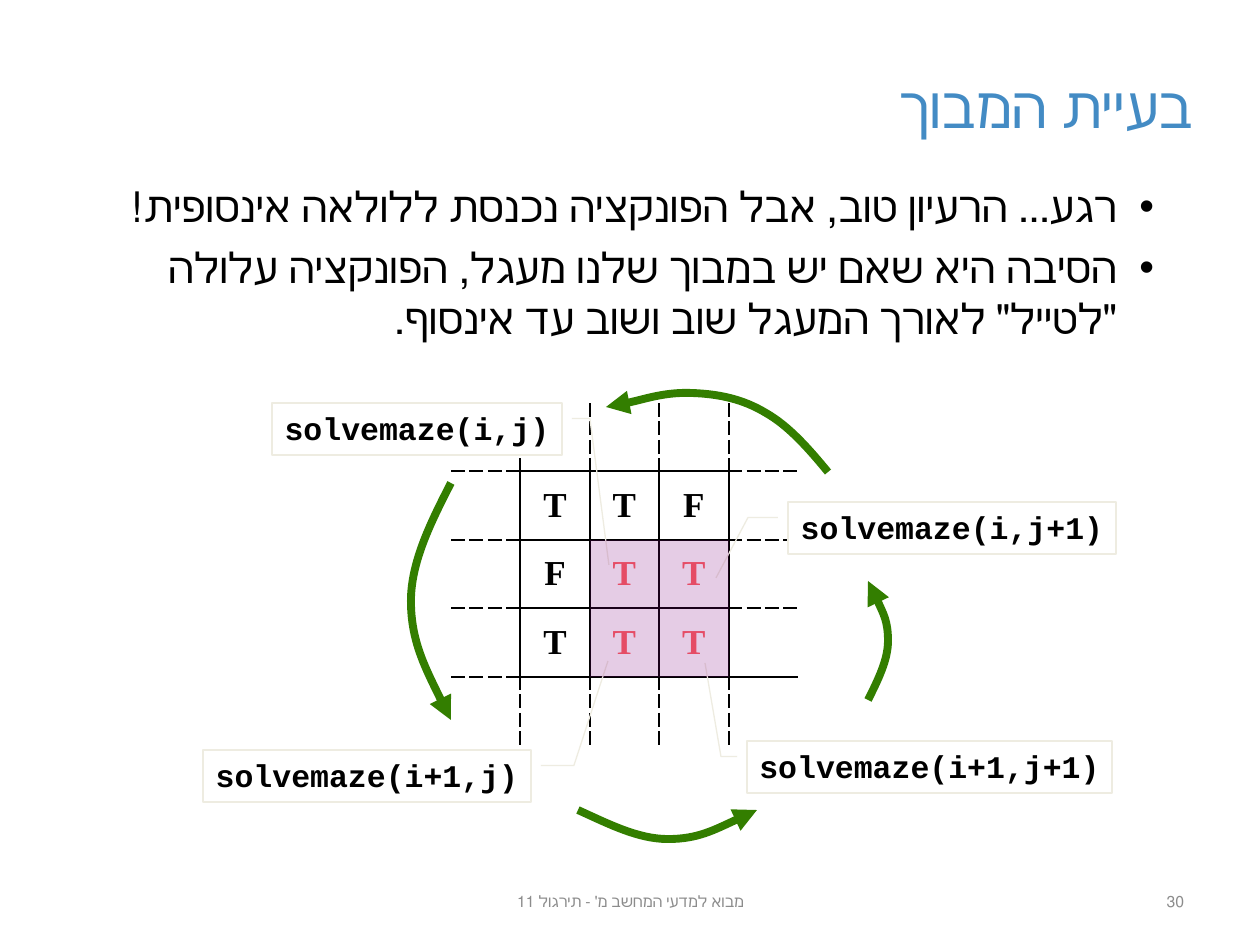
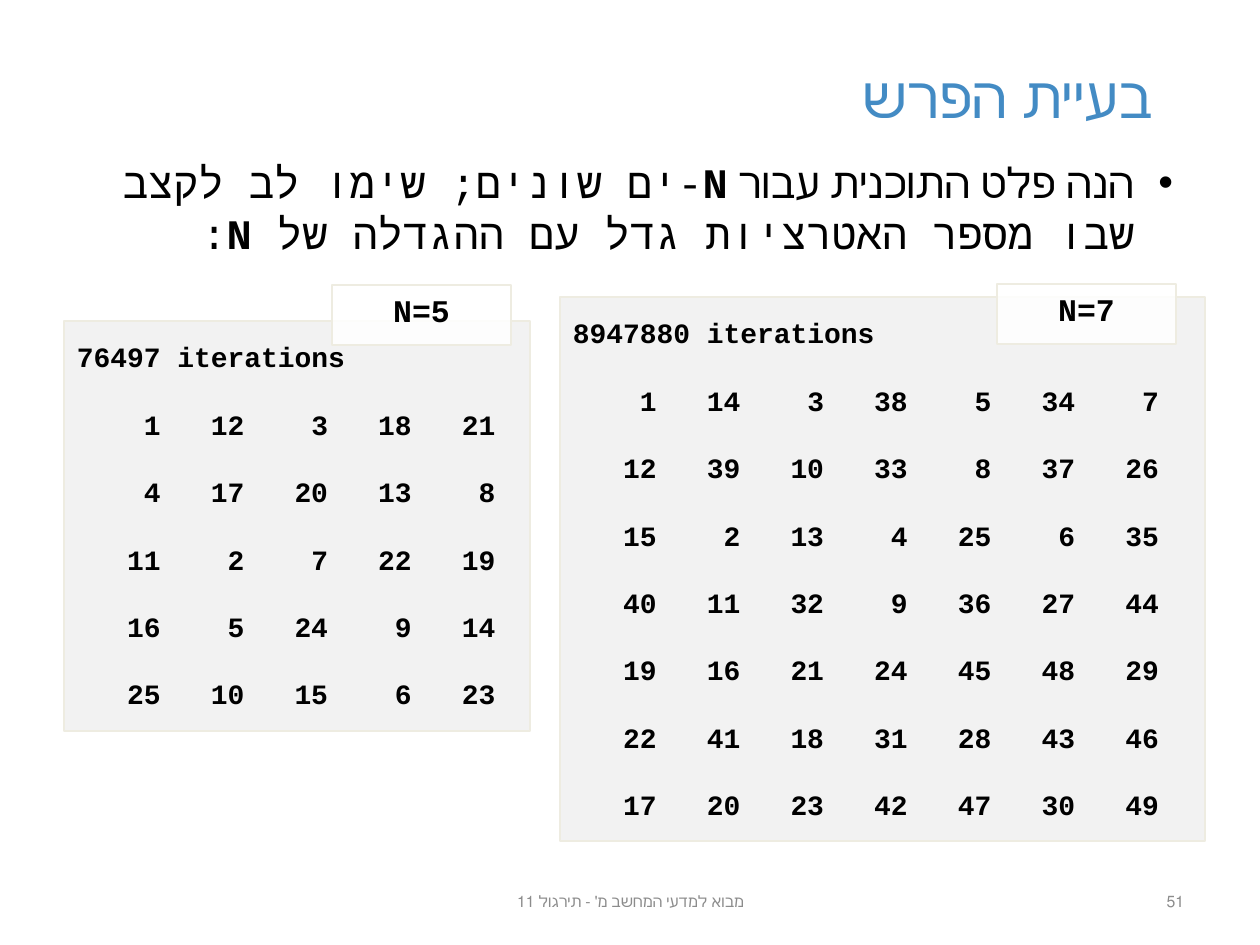
from lxml import etree
from pptx import Presentation
from pptx.dml.color import RGBColor
from pptx.enum import lang, shapes, text
from pptx.oxml.ns import qn
from pptx.util import Emu, Pt

# ---------- Shared look ----------
SCALE = 914400 / 126  # EMU per px
COLORS = {"title": "438BC4", "body": "000000", "footer": "8C8C8C", "white": "FFFFFF",
          "panel": "F2F2F2", "edge": "EEECE1", "arrow": "337E00",
          "loop": "FF5F5F", "shade": "800080"}
CODE = dict(font="Courier New", bold=True)
HEBREW = dict(font="Times New Roman", rtl=True, align="r")
ALIGN = {"l": text.PP_ALIGN.LEFT, "c": text.PP_ALIGN.CENTER, "r": text.PP_ALIGN.RIGHT}
FOOTER = "מבוא למדעי המחשב מ' - תירגול 11"

# ---------- Slide 1: the maze ----------
MAZE = dict(
    title="בעיית המבוך", title_box=(54, 26, 1152, 158), number="30",
    body=["רגע... הרעיון טוב, אבל הפונקציה נכנסת ללולאה אינסופית!",
          "הסיבה היא שאם יש במבוך שלנו מעגל, הפונקציה עלולה \"לטייל\" "
          "לאורך המעגל שוב ושוב עד אינסוף."],
    body_box=(88, 175, 1079, 179), indent=37)
CELLS = ["TTF", "FTT", "TTT"]
LOOP = [(2, 2), (2, 3), (3, 2), (3, 3)]  # row, column in the 5 x 5 grid
GRID = (451, 403, 347, 342)
SIZE = 5
# call, box, elbow x, tip
CALLS = [
    ("solvemaze(i,j)", (272, 403, 290, 52), 590, (609, 565)),
    ("solvemaze(i+1,j)", (203, 750, 328, 52), 574, (608, 661)),
    ("solvemaze(i+1,j+1)", (747, 741, 365, 52), 721, (705, 663)),
    ("solvemaze(i,j+1)", (788, 502, 328, 52), 748, (716, 578)),
]
# start point, then two control points and an end point for each curve
ARROWS = [
    [(451, 483), (431, 522), (411, 562), (411, 601), (411, 641), (431, 680), (451, 720)],
    [(578, 810), (609, 824), (638, 839), (668, 839), (698, 839), (727, 824), (757, 810)],
    [(868, 700), (878, 680), (888, 660), (888, 641), (888, 621), (878, 601), (868, 581)],
    [(828, 472), (809, 449), (789, 426), (766, 413), (743, 399), (719, 394), (692, 393),
     (665, 392), (624, 405), (606, 407)],
]

# ---------- Slide 2: the knight ----------
KNIGHT = dict(
    title="בעיית הפרש", title_box=(94, 16, 1072, 158), number="51",
    body=[[("הנה פלט התוכנית עבור ", {}), ("N", CODE),
           ("-ים שונים; שימו לב לקצב שבו מספר האטרציות גדל עם ההגדלה של ", {}),
           ("N", CODE), (":", {})]],
    body_box=(68, 151, 1118, 113), indent=39)
# label, label box, heading, panel box, board
BOARDS = [
    ("N=5", (332, 285, 179, 60), "76497 iterations", (64, 321, 466, 410), [
        (1, 12, 3, 18, 21), (4, 17, 20, 13, 8), (11, 2, 7, 22, 19),
        (16, 5, 24, 9, 14), (25, 10, 15, 6, 23)]),
    ("N=7", (997, 284, 179, 60), "8947880 iterations", (560, 297, 645, 544), [
        (1, 14, 3, 38, 5, 34, 7), (12, 39, 10, 33, 8, 37, 26),
        (15, 2, 13, 4, 25, 6, 35), (40, 11, 32, 9, 36, 27, 44),
        (19, 16, 21, 24, 45, 48, 29), (22, 41, 18, 31, 28, 43, 46),
        (17, 20, 23, 42, 47, 30, 49)]),
]
BOARD_STEP = 83.7  # px from one column of numbers to the next


def px(value):
    return Emu(round(value * SCALE))


def rgb(name):
    return RGBColor.from_string(COLORS[name])


def child(parent, tag, **attributes):
    return etree.SubElement(parent, qn(tag), {k: str(v) for k, v in attributes.items()})


def write(frame, paragraphs, size=24, color="body", font="Calibri", bold=False,
          align="l", rtl=False, anchor="TOP", wrap=True, gap=0, indent=0, tabs=(),
          margins=(13, 6)):
    """Fill a text frame; a paragraph is a string or a list of (text, format) runs."""
    frame.word_wrap = wrap
    frame.vertical_anchor = getattr(text.MSO_ANCHOR, anchor)
    frame.margin_left = frame.margin_right = px(margins[0])
    frame.margin_top = frame.margin_bottom = px(margins[1])
    for i, content in enumerate(paragraphs):
        paragraph = frame.add_paragraph() if i else frame.paragraphs[0]
        paragraph.alignment = ALIGN[align]
        paragraph.space_before = Pt(gap if i else 0)
        props = paragraph._p.get_or_add_pPr()
        if rtl:
            props.set("rtl", "1")
        if indent:
            props.set("marL", str(px(indent)))
            props.set("indent", str(-px(indent)))
            child(props, "a:buFont", typeface="Arial")
            child(props, "a:buChar", char="•")
        if tabs:
            stops = child(props, "a:tabLst")
            for stop in tabs:
                child(stops, "a:tab", pos=px(stop), algn="r")
        for words, own in [(content, {})] if isinstance(content, str) else content:
            run = paragraph.add_run()
            run.text = words
            run.font.size = Pt(size)
            run.font.bold = own.get("bold", bold)
            run.font.color.rgb = rgb(color)
            run.font.name = own.get("font", font)
            if rtl:
                run.font.language_id = lang.MSO_LANGUAGE_ID.HEBREW
            if own:
                child(run.font._element, "a:cs", typeface=own["font"])


def add_text(slide, box, paragraphs, **fmt):
    write(slide.shapes.add_textbox(*map(px, box)).text_frame, paragraphs, **fmt)


def style(shape, fill=None, alpha=None, line=None, width=0.75):
    shape.shadow.inherit = False
    if fill:
        shape.fill.solid()
        shape.fill.fore_color.rgb = rgb(fill)
        if alpha:
            color = shape._element.spPr.find(qn("a:solidFill"))[0]
            child(color, "a:alpha", val=alpha * 1000)
    else:
        shape.fill.background()
    if line:
        shape.line.color.rgb = rgb(line)
        shape.line.width = Pt(width)
    else:
        shape.line.fill.background()


def add_box(slide, box, kind="RECTANGLE", **look):
    shape = slide.shapes.add_shape(getattr(shapes.MSO_SHAPE, kind), *map(px, box))
    style(shape, **look)
    return shape


def add_base(deck, title, title_box, number, body, body_box, indent):
    slide = deck.slides.add_slide(deck.slide_layouts[6])
    small = dict(HEBREW, size=9, font="Calibri", color="footer", anchor="MIDDLE")
    add_text(slide, (431, 876, 399, 50), [FOOTER], **dict(small, align="c"))
    add_text(slide, (903, 876, 294, 50), [number], **small)
    add_text(slide, title_box, [title],
             **dict(HEBREW, font="Arial", size=33, color="title", anchor="MIDDLE"))
    add_text(slide, body_box, body, gap=6, indent=indent, **HEBREW)
    return slide


def grid_edges(start, length):
    return [start + round(length * i / SIZE) for i in range(SIZE + 1)]


def set_borders(cell, row, column):
    """Solid lines around the inner cells, dashes in the outer ring, none outside."""
    last = SIZE - 1
    solid_row, solid_column = 0 < row < last, 0 < column < last
    corner = column == last
    sides = [("L", column > 0, solid_row), ("R", column < last, solid_row),
             ("T", row > 0, solid_column or corner and row == last),
             ("B", row < last, solid_column or corner and row == last - 1)]
    props = cell._tc.get_or_add_tcPr()
    for i, (side, inside, solid) in enumerate(sides):
        line = etree.Element(qn("a:ln" + side), w=str(Pt(1)))
        props.insert(i, line)
        if inside:
            child(child(line, "a:solidFill"), "a:srgbClr", val=COLORS["body"])
            child(line, "a:prstDash", val="solid" if solid else "sysDash")
        else:
            child(line, "a:noFill")


def add_grid(slide, xs, ys):
    table = slide.shapes.add_table(SIZE, SIZE, *map(px, GRID)).table
    table.first_row = table.horz_banding = False
    for i in range(SIZE):
        table.columns[i].width = px(xs[i + 1] - xs[i])
        table.rows[i].height = px(ys[i + 1] - ys[i])
    for row in range(SIZE):
        for column in range(SIZE):
            cell = table.cell(row, column)
            cell.fill.solid()
            cell.fill.fore_color.rgb = rgb("white")
            set_borders(cell, row, column)
            if 0 < row < SIZE - 1 and 0 < column < SIZE - 1:
                cell.margin_left = cell.margin_right = cell.margin_top = cell.margin_bottom = 0
                cell.vertical_anchor = text.MSO_ANCHOR.MIDDLE
                paragraph = cell.text_frame.paragraphs[0]
                paragraph.alignment = ALIGN["c"]
                run = paragraph.add_run()
                run.text = CELLS[row - 1][column - 1]
                run.font.size, run.font.bold = Pt(20), True
                run.font.name = "Times New Roman"
                run.font.color.rgb = rgb("loop" if (row, column) in LOOP else "body")


def add_call(slide, call, box, elbow, tip):
    left, top, width, height = box
    start = left + width + 10 if tip[0] > left + width else left - 10
    callout = add_box(slide, box, "LINE_CALLOUT_2", fill="white", line="edge")
    for i, x in enumerate((start, elbow, tip[0])):
        callout.adjustments[2 * i] = (tip[1] - top) / height if i == 2 else 0.3
        callout.adjustments[2 * i + 1] = (x - left) / width
    write(callout.text_frame, [call], size=18, align="c", wrap=False, **CODE)


def add_arrow(slide, points):
    builder = slide.shapes.build_freeform(*points[0], scale=SCALE)
    builder.add_line_segments(points[1:], close=False)
    arrow = builder.convert_to_shape()
    # Join every three segments into one cubic curve
    outline = next(arrow._element.iter(qn("a:path")))
    segments = outline.findall(qn("a:lnTo"))
    for i in range(0, len(segments), 3):
        curve = child(outline, "a:cubicBezTo")
        for segment in segments[i:i + 3]:
            curve.append(segment[0])
            outline.remove(segment)
    style(arrow, line="arrow", width=4.5)
    child(arrow.line._get_or_add_ln(), "a:tailEnd", type="triangle")


def build_maze(deck):
    slide = add_base(deck, **MAZE)
    xs, ys = grid_edges(GRID[0], GRID[2]), grid_edges(GRID[1], GRID[3])
    add_grid(slide, xs, ys)
    for call in CALLS:
        add_call(slide, *call)
    for points in ARROWS:
        add_arrow(slide, points)
    for row, column in LOOP:
        add_box(slide, (xs[column], ys[row], xs[column + 1] - xs[column],
                        ys[row + 1] - ys[row]), fill="shade", alpha=20)


def build_knight(deck):
    slide = add_base(deck, **KNIGHT)
    for _, _, heading, box, board in BOARDS:
        panel = add_box(slide, box, fill="panel", line="edge")
        rows = ["".join(f"\t{value}" for value in row) for row in board]
        tabs = [BOARD_STEP * (i + 1) for i in range(len(board[0]))]
        write(panel.text_frame, [heading] + rows, size=16, gap=19.3, tabs=tabs,
              margins=(13, 19), **CODE)
    for label, box, *_ in BOARDS:
        tag = add_box(slide, box, fill="white", alpha=85, line="edge")
        write(tag.text_frame, [label], size=18, align="c", **CODE)


def main():
    deck = Presentation()
    deck.slide_width, deck.slide_height = px(1260), px(945)
    build_maze(deck)
    build_knight(deck)
    deck.save("out.pptx")


if __name__ == "__main__":
    main()
